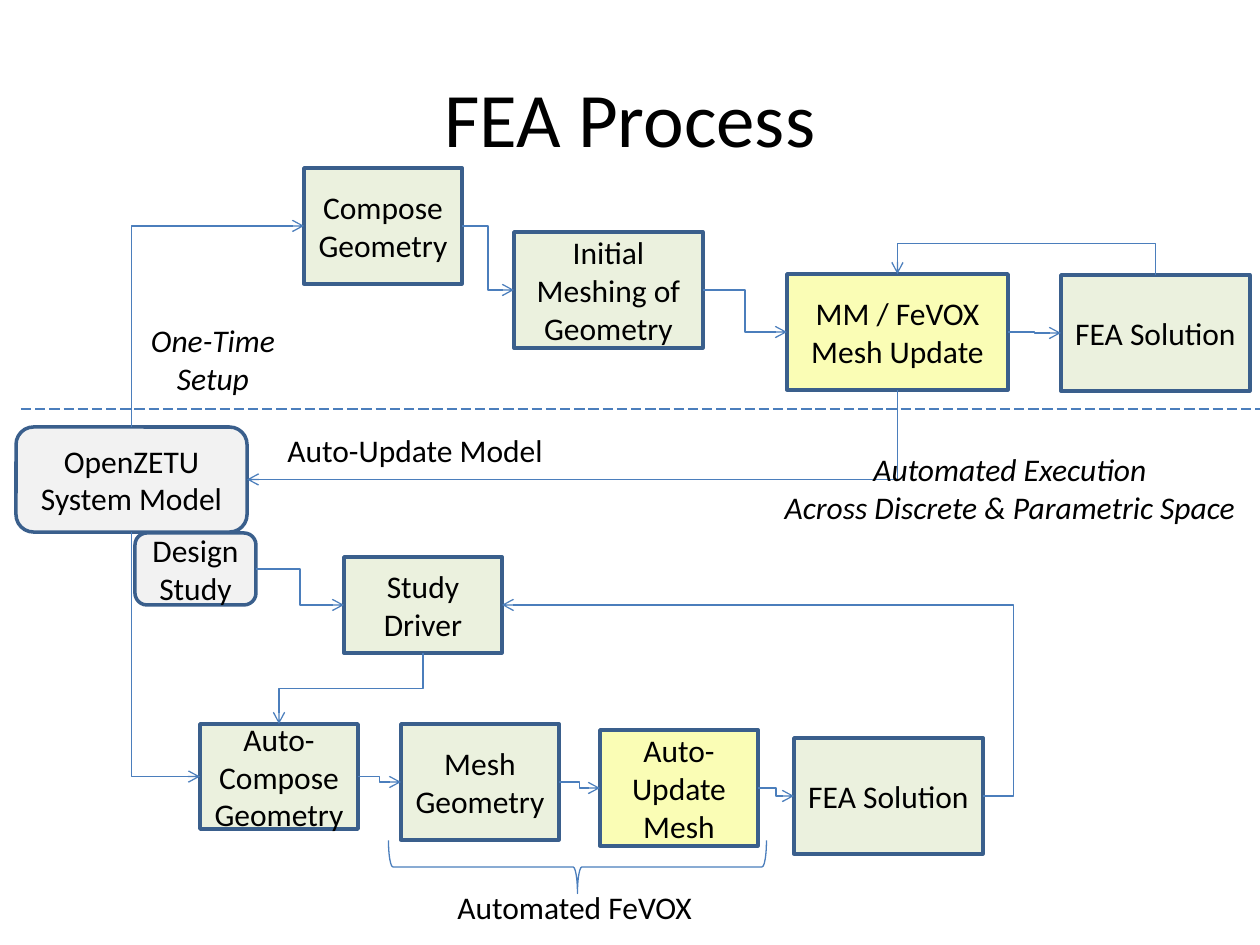
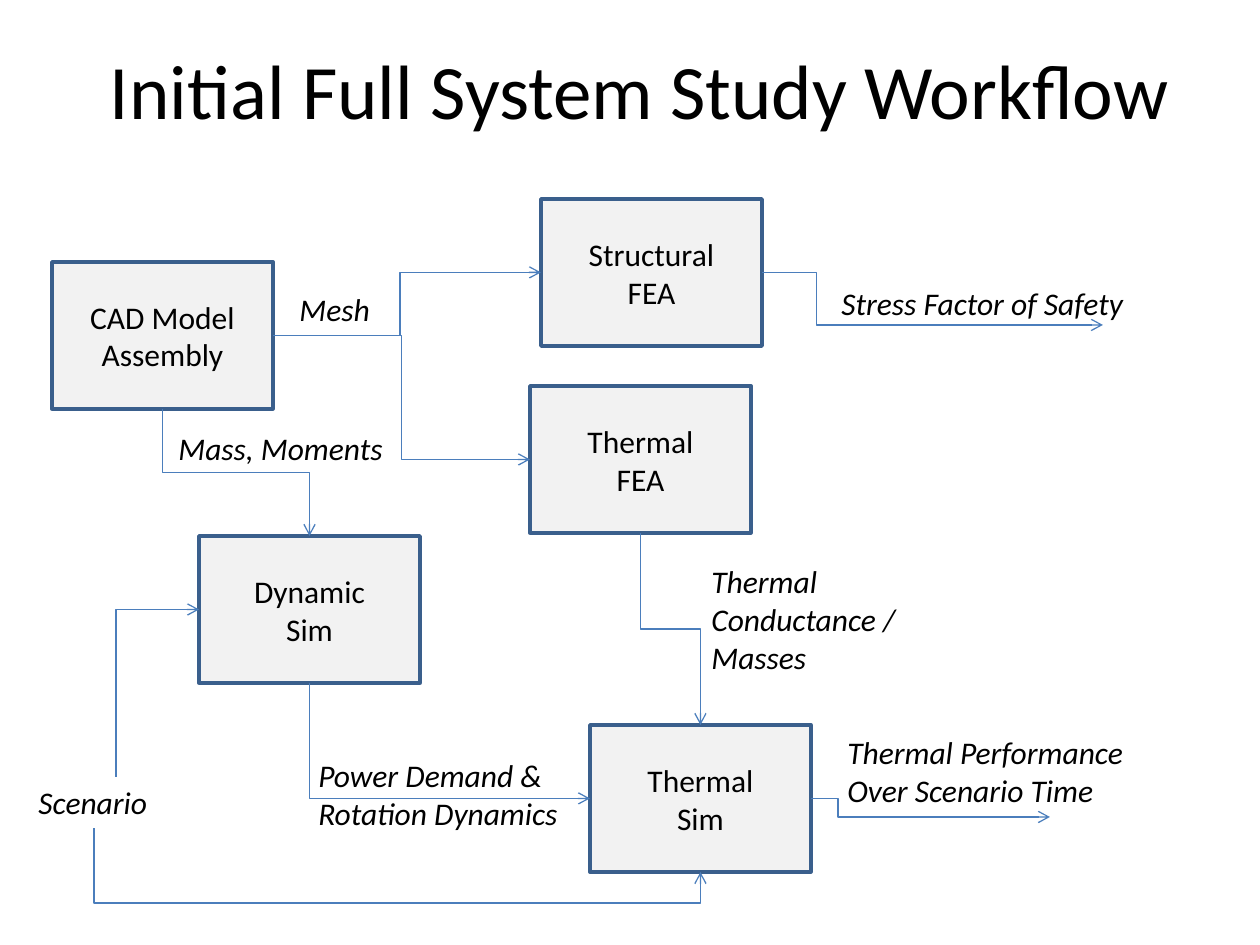
"""Build two engineering workflow slides: the FEA process and the full system study."""
from lxml.etree import SubElement
from pptx import Presentation
from pptx.dml.color import RGBColor
from pptx.enum.dml import MSO_LINE
from pptx.enum.shapes import MSO_CONNECTOR, MSO_SHAPE, MSO_SHAPE_TYPE
from pptx.enum.text import MSO_ANCHOR, MSO_AUTO_SIZE, PP_ALIGN
from pptx.oxml.ns import qn
from pptx.util import Pt

PX = 7257
COLORS = {
    "text": "000000",
    "model": "F2F2F2",
    "step": "EBF1DE",
    "mesh": "FAFDB5",
    "border": "3A5F8C",
    "arrow": "4B7EBC",
}
RECT, ROUNDED = MSO_SHAPE.RECTANGLE, MSO_SHAPE.ROUNDED_RECTANGLE
LEFT, CENTER = PP_ALIGN.LEFT, PP_ALIGN.CENTER
TOP_SIDE, LEFT_SIDE, BOTTOM_SIDE, RIGHT_SIDE = range(4)
MIDDLE, CORNER = "middle", "corner"


def write_text(shape, text, size=18, align=CENTER, italic=False):
    """Fill a shape with one paragraph per line of text."""
    shape.text_frame.text = text
    for paragraph in shape.text_frame.paragraphs:
        paragraph.alignment = align
        paragraph.font.name = "Calibri"
        paragraph.font.size = Pt(size)
        paragraph.font.italic = italic
        paragraph.font.color.rgb = RGBColor.from_string(COLORS["text"])


def add_elbow(slide, boxes, start, end, first, turn):
    """Draw a bent arrow leaving horizontally (h) or vertically (v), turning at a px position."""
    points = [(0, 0) if isinstance(e[0], str) else (e[0] * PX, e[1] * PX) for e in (start, end)]
    connector = slide.shapes.add_connector(MSO_CONNECTOR.ELBOW, *points[0], *points[1])
    if isinstance(start[0], str):
        connector.begin_connect(boxes[start[0]], start[1])
    if isinstance(end[0], str):
        connector.end_connect(boxes[end[0]], end[1])

    begin_x, begin_y = connector.begin_x, connector.begin_y
    run, rise = connector.end_x - begin_x, connector.end_y - begin_y
    properties = connector._element.spPr
    if first == "v":
        connector.width, connector.height = abs(rise), abs(run)
        connector.left = begin_x + (run - abs(rise)) // 2
        connector.top = begin_y + (rise - abs(run)) // 2
        properties.xfrm.rot = 90
        properties.xfrm.flipH, properties.xfrm.flipV = rise < 0, run > 0

    geometry = properties.find(qn("a:prstGeom"))
    if turn == CORNER:
        geometry.set("prst", "bentConnector2")
    elif turn != MIDDLE:
        origin, length = (begin_x, run) if first == "h" else (begin_y, rise)
        ratio = round((turn * PX - origin) / length * 100000)
        SubElement(geometry.find(qn("a:avLst")), qn("a:gd"), name="adj1", fmla=f"val {ratio}")
    SubElement(properties.get_or_add_ln(), qn("a:tailEnd"), type="arrow")


process = {
    "title": ("FEA Process", 63, 38),
    "boxes": {
        "system": ("OpenZETU\nSystem Model", ROUNDED, "model", 16, 427, 231, 105),
        "compose": ("Compose\nGeometry", RECT, "step", 304, 168, 158, 116),
        "initial": ("Initial\nMeshing of\nGeometry", RECT, "step", 514, 232, 189, 116),
        "update": ("MM / FeVOX\nMesh Update", RECT, "mesh", 787, 274, 221, 116),
        "solution": ("FEA Solution", RECT, "step", 1061, 275, 189, 116),
        "driver": ("Study\nDriver", RECT, "step", 344, 557, 158, 96),
        "study": ("Design Study", ROUNDED, "model", 135, 533, 121, 72),
        "auto compose": ("Auto-\nCompose\nGeometry", RECT, "step", 200, 724, 158, 105),
        "mesh": ("Mesh\nGeometry", RECT, "step", 401, 724, 158, 116),
        "auto update": ("Auto-Update Mesh", RECT, "mesh", 600, 730, 158, 116),
        "auto solution": ("FEA Solution", RECT, "step", 794, 738, 189, 116),
    },
    "arrows": [
        (("system", TOP_SIDE), ("compose", LEFT_SIDE), "v", CORNER),
        (("compose", RIGHT_SIDE), ("initial", LEFT_SIDE), "h", MIDDLE),
        (("initial", RIGHT_SIDE), ("update", LEFT_SIDE), "h", MIDDLE),
        (("update", RIGHT_SIDE), ("solution", LEFT_SIDE), "h", MIDDLE),
        (("solution", TOP_SIDE), ("update", TOP_SIDE), "v", 243),
        (("update", BOTTOM_SIDE), ("system", RIGHT_SIDE), "v", CORNER),
        (("study", RIGHT_SIDE), ("driver", LEFT_SIDE), "h", MIDDLE),
        (("driver", BOTTOM_SIDE), ("auto compose", TOP_SIDE), "v", MIDDLE),
        (("system", BOTTOM_SIDE), ("auto compose", LEFT_SIDE), "v", CORNER),
        (("auto compose", RIGHT_SIDE), ("mesh", LEFT_SIDE), "h", MIDDLE),
        (("mesh", RIGHT_SIDE), ("auto update", LEFT_SIDE), "h", MIDDLE),
        (("auto update", RIGHT_SIDE), ("auto solution", LEFT_SIDE), "h", MIDDLE),
        (("auto solution", RIGHT_SIDE), ("driver", RIGHT_SIDE), "h", 1014),
    ],
    "labels": [
        ("Auto-Update Model", LEFT, False, 275, 425, 283, 50),
        ("Automated FeVOX", LEFT, False, 445, 882, 270, 50),
        ("One-Time\nSetup", CENTER, True, 137, 315, 152, 89),
        ("Automated Execution\nAcross Discrete & Parametric Space", CENTER, True, 770, 444, 480, 89),
    ],
}

workflow = {
    "title": ("Initial Full System Study Workflow", 73, 10),
    "boxes": {
        name: (text, RECT, "model", left, top, 221, 147)
        for name, text, left, top in [
            ("cad", "CAD Model\nAssembly", 52, 262),
            ("dynamic", "Dynamic\nSim", 199, 536),
            ("thermal sim", "Thermal\nSim", 590, 725),
            ("thermal fea", "Thermal\nFEA", 530, 386),
            ("structural", "Structural\nFEA", 541, 199),
        ]
    },
    "arrows": [
        (("cad", BOTTOM_SIDE), ("dynamic", TOP_SIDE), "v", MIDDLE),
        (("cad", RIGHT_SIDE), ("thermal fea", LEFT_SIDE), "h", MIDDLE),
        (("cad", RIGHT_SIDE), ("structural", LEFT_SIDE), "h", 400),
        (("dynamic", BOTTOM_SIDE), ("thermal sim", LEFT_SIDE), "v", CORNER),
        (("thermal fea", BOTTOM_SIDE), ("thermal sim", TOP_SIDE), "v", MIDDLE),
        ((94, 828), ("thermal sim", BOTTOM_SIDE), "v", 903),
        ((116, 777), ("dynamic", LEFT_SIDE), "v", CORNER),
        (("thermal sim", RIGHT_SIDE), (1050, 817), "h", 838),
        (("structural", RIGHT_SIDE), (1103, 325), "h", 817),
    ],
    "labels": [
        ("Mass, Moments", LEFT, True, 166, 423, 233, 50),
        ("Power Demand &\nRotation Dynamics", LEFT, True, 306, 750, 267, 89),
        ("Mesh", LEFT, True, 287, 284, 97, 50),
        ("Thermal\nConductance /\nMasses", LEFT, True, 699, 556, 212, 127),
        ("Thermal Performance\nOver Scenario Time", LEFT, True, 835, 727, 304, 89),
        ("Scenario", LEFT, True, 26, 777, 135, 50),
        ("Stress Factor of Safety", LEFT, True, 829, 278, 310, 50),
    ],
}

presentation = Presentation()
presentation.slide_width, presentation.slide_height = 1260 * PX, 945 * PX

for diagram in (process, workflow):
    slide = presentation.slides.add_slide(presentation.slide_layouts[5])
    text, left, top = diagram["title"]
    title = slide.shapes.title
    title.left, title.top, title.width, title.height = left * PX, top * PX, 1134 * PX, 158 * PX
    write_text(title, text, size=44)

    boxes = {}
    for name, (text, kind, fill, *frame) in diagram["boxes"].items():
        box = slide.shapes.add_shape(kind, *(length * PX for length in frame))
        box.shadow.inherit = False
        box.fill.solid()
        box.fill.fore_color.rgb = RGBColor.from_string(COLORS[fill])
        box.line.color.rgb = RGBColor.from_string(COLORS["border"])
        box.line.width = Pt(2)
        box.text_frame.vertical_anchor = MSO_ANCHOR.MIDDLE
        write_text(box, text)
        boxes[name] = box

    for arrow in diagram["arrows"]:
        add_elbow(slide, boxes, *arrow)

    for text, align, italic, *frame in diagram["labels"]:
        label = slide.shapes.add_textbox(*(length * PX for length in frame))
        label.text_frame.word_wrap = False
        label.text_frame.auto_size = MSO_AUTO_SIZE.SHAPE_TO_FIT_TEXT
        write_text(label, text, align=align, italic=italic)

process_slide = presentation.slides[0]
divider = process_slide.shapes.add_connector(
    MSO_CONNECTOR.STRAIGHT, 21 * PX, 409 * PX, 1260 * PX, 409 * PX)
divider.line.dash_style = MSO_LINE.LONG_DASH

brace = process_slide.shapes.add_shape(
    MSO_SHAPE.RIGHT_BRACE, 551 * PX, 678 * PX, 53 * PX, 378 * PX)
brace.rotation = 90
brace.shadow.inherit = False
brace.fill.background()
brace.line.color.rgb = RGBColor.from_string(COLORS["arrow"])
brace.line.width = Pt(0.75)

for slide in presentation.slides:
    for shape in slide.shapes:
        if shape.shape_type == MSO_SHAPE_TYPE.LINE:
            shape.line.color.rgb = RGBColor.from_string(COLORS["arrow"])
            shape.line.width = Pt(0.75)
            SubElement(shape._element.spPr, qn("a:effectLst"))

presentation.save("out.pptx")
